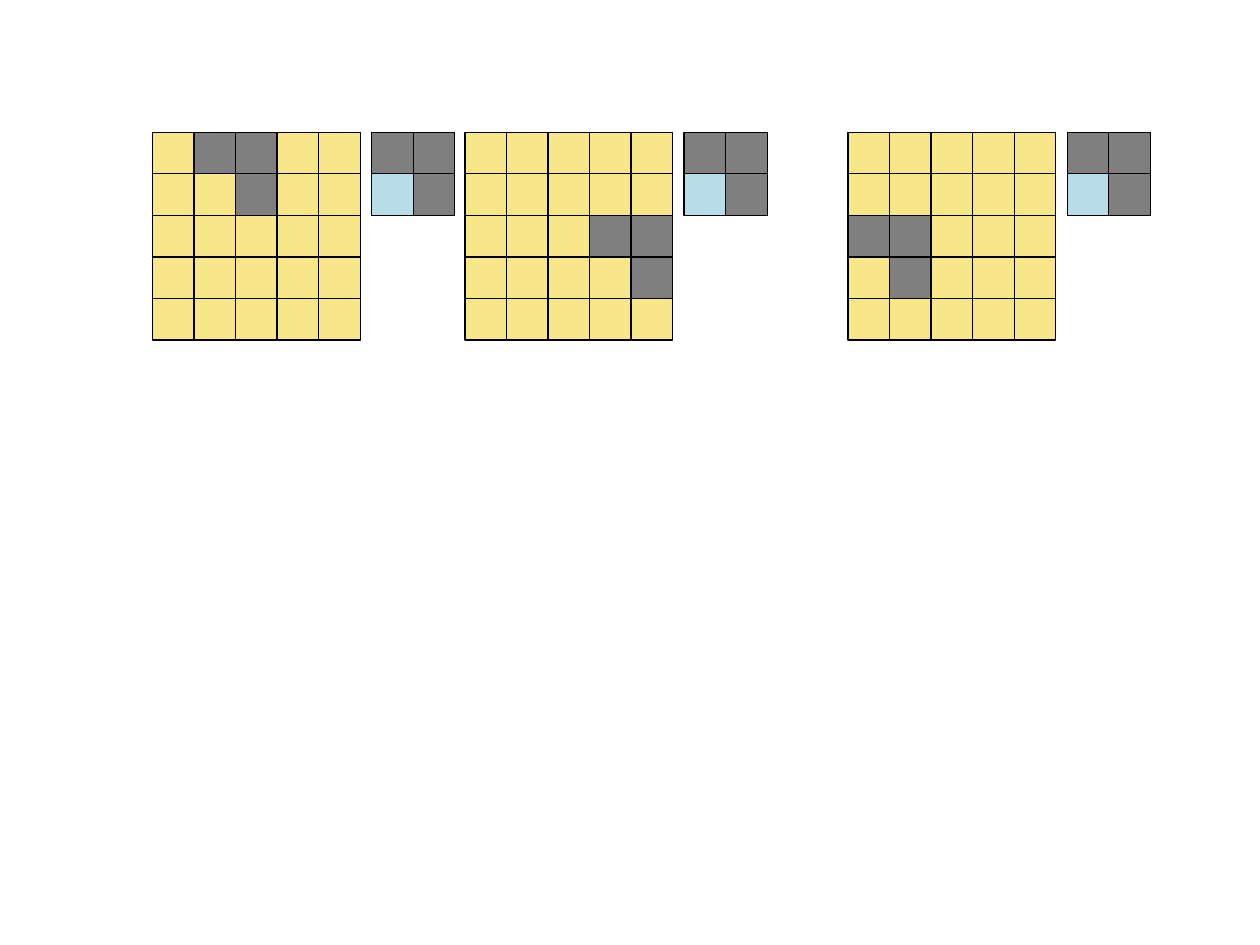
from itertools import product

from pptx import Presentation
from pptx.dml.color import RGBColor
from pptx.enum.shapes import MSO_SHAPE as Shape
from pptx.oxml.ns import qn
from pptx.util import Emu, Inches
from lxml.etree import SubElement

SCALE = Inches(1) // 100
CELL = 33
TOP = 105
GRID_SIZE = 5
KERNEL_SIZE = 2
KERNEL_OFFSET = 174

YELLOW = RGBColor(0xF2, 0xD1, 0x15)
BLACK = RGBColor(0x00, 0x00, 0x00)
BLUE = RGBColor(0xB7, 0xDE, 0xE8)

KERNEL_CELLS = {(0, 0), (0, 1), (1, 1)}
PANELS = [(121, (0, 1)), (369, (2, 3)), (673, (2, 0))]


class Board:
    def __init__(self, page, line_color=BLACK, line_width=0, opacity=50):
        self.page = page
        self.line_color = line_color
        self.line_width = line_width
        self.opacity = opacity

    def cell(self, left, top, color, translucent=True):
        bounds = [Emu(n * SCALE) for n in (left, top, CELL, CELL)]
        box = self.page.shapes.add_shape(Shape.RECTANGLE, *bounds)
        box.shadow.inherit = False
        box.fill.solid()
        box.fill.fore_color.rgb = color
        box.line.color.rgb = self.line_color
        box.line.width = self.line_width
        if translucent:
            color_node = box.fill._xPr.find(qn("a:solidFill"))[0]
            SubElement(color_node, qn("a:alpha"), val=str(self.opacity * 1000))

    def grid(self, left, size, marked, base, translucent=True):
        for row, column in product(range(size), repeat=2):
            is_marked = (row, column) in marked
            self.cell(
                left + column * CELL,
                TOP + row * CELL,
                BLACK if is_marked else base,
                is_marked or translucent,
            )

    def panel(self, left, origin):
        first_row, first_column = origin
        marked = {(first_row + r, first_column + c) for r, c in KERNEL_CELLS}
        self.grid(left, GRID_SIZE, marked, YELLOW)
        self.grid(left + KERNEL_OFFSET, KERNEL_SIZE, KERNEL_CELLS, BLUE, False)


def main():
    deck = Presentation()
    deck.slide_width = Inches(10)
    deck.slide_height = Inches(7.5)
    board = Board(deck.slides.add_slide(deck.slide_layouts[6]))
    for left, origin in PANELS:
        board.panel(left, origin)
    deck.save("out.pptx")


if __name__ == "__main__":
    main()
